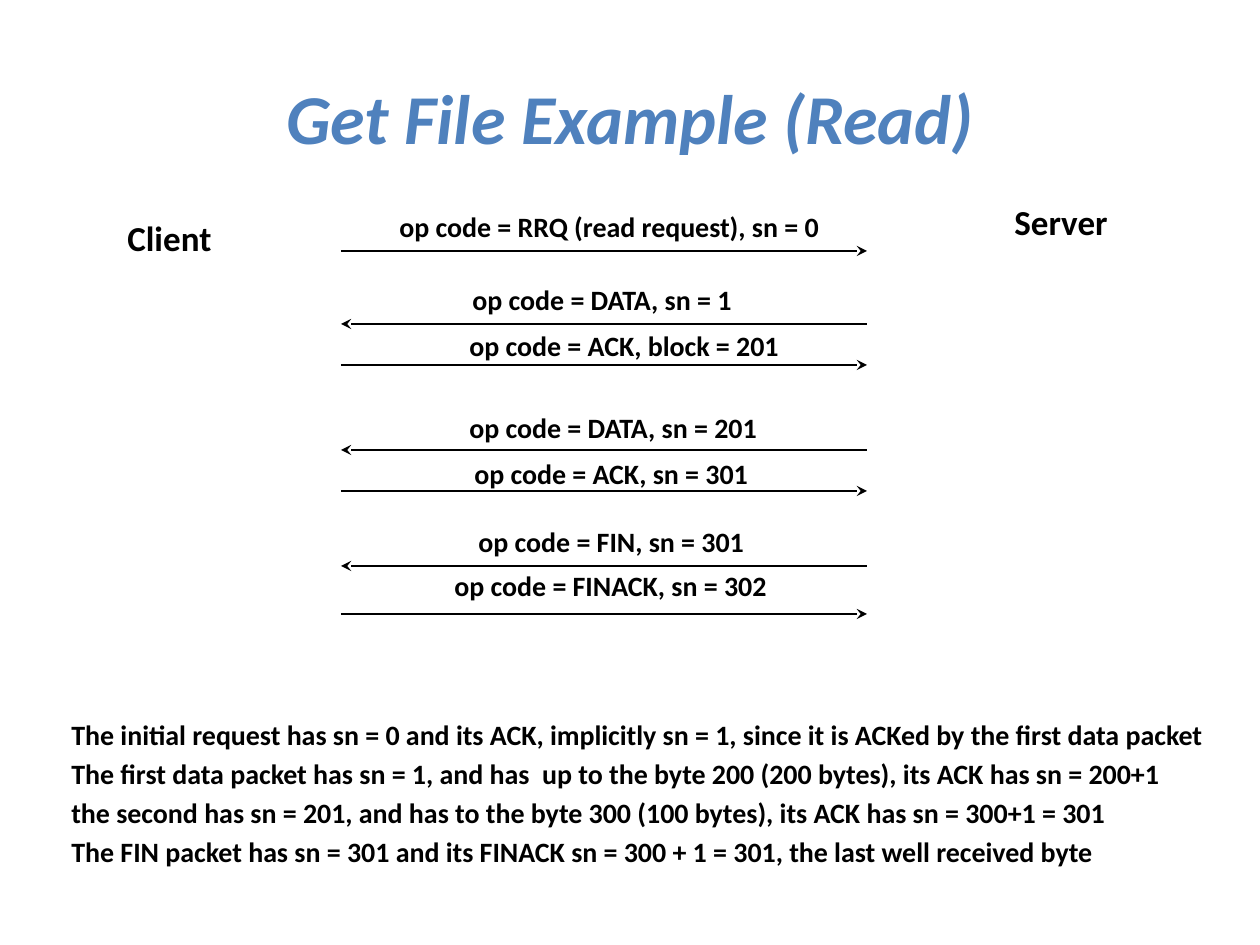
from collections import namedtuple
from dataclasses import dataclass

from lxml.etree import SubElement
from pptx import Presentation
from pptx.dml.color import RGBColor
from pptx.enum.shapes import MSO_CONNECTOR
from pptx.enum.text import MSO_ANCHOR, PP_ALIGN
from pptx.oxml.ns import qn
from pptx.util import Emu, Pt

Box = namedtuple("Box", "left top width height")
Message = namedtuple("Message", "text left top width arrow_y to_server")


@dataclass(frozen=True)
class Theme:
    font: str = "Calibri"
    ink: str = "000000"
    accent: str = "4F81BD"
    title_size: int = 40
    party_size: int = 20
    body_size: int = 16
    line_width: int = 1


THEME = Theme()
PX_PER_INCH = 126
LABEL_HEIGHT = 43

# Label positions and arrow heights are relative to the sequence box
MESSAGES = [
    Message("op code = RRQ (read request), sn = 0", 46, 0, 451, 44, True),
    Message("op code = DATA, sn = 1", 119, 73, 319, 117, False),
    Message("op code = ACK, block = 201", 116, 119, 340, 158, True),
    Message("op code = DATA, sn = 201", 116, 201, 350, 243, False),
    Message("op code = ACK, sn = 301", 121, 247, 304, 284, True),
    Message("op code = FIN, sn = 301", 125, 315, 295, 359, False),
    Message("op code = FINACK, sn = 302", 101, 359, 369, 407, True),
]

NOTES = [
    "The initial request has sn = 0 and its ACK, implicitly sn = 1, since it is ACKed by the first data packet",
    "The first data packet has sn = 1, and has  up to the byte 200 (200 bytes), its ACK has sn = 200+1",
    "the second has sn = 201, and has to the byte 300 (100 bytes), its ACK has sn = 300+1 = 301",
    "The FIN packet has sn = 301 and its FINACK sn = 300 + 1 = 301, the last well received byte",
]


def px(value):
    return Emu(round(value * 914400 / PX_PER_INCH))


def write_text(shape, *lines, size=THEME.body_size, color=THEME.ink, italic=False,
               align=PP_ALIGN.LEFT, anchor=MSO_ANCHOR.TOP, line_spacing=None, gap=0):
    frame = shape.text_frame
    frame.word_wrap = True
    frame.vertical_anchor = anchor
    for index, line in enumerate(lines):
        paragraph = frame.add_paragraph() if index else frame.paragraphs[0]
        paragraph.alignment = align
        if line_spacing:
            paragraph.line_spacing = line_spacing
        if index:
            paragraph.space_before = Pt(gap)
        run = paragraph.add_run()
        run.text = line
        font = run.font
        font.name, font.size = THEME.font, Pt(size)
        font.bold, font.italic = True, italic
        font.color.rgb = RGBColor.from_string(color)


def add_text(slide, box, *lines, **text_format):
    shape = slide.shapes.add_textbox(*map(px, box))
    write_text(shape, *lines, **text_format)


def add_arrow(slide, start_x, end_x, y):
    arrow = slide.shapes.add_connector(
        MSO_CONNECTOR.STRAIGHT, px(start_x), px(y), px(end_x), px(y))
    arrow.line.color.rgb = RGBColor.from_string(THEME.ink)
    arrow.line.width = Pt(THEME.line_width)
    properties = arrow._element.spPr
    SubElement(properties.find(qn("a:ln")), qn("a:tailEnd"), type="stealth")
    SubElement(properties, qn("a:effectLst"))


def add_title(slide, box, text):
    title = slide.shapes.title
    title.left, title.top, title.width, title.height = map(px, box)
    write_text(title, text, size=THEME.title_size, color=THEME.accent, italic=True,
               align=PP_ALIGN.CENTER, anchor=MSO_ANCHOR.MIDDLE)


def add_party(slide, box, name):
    add_text(slide, box, name, size=THEME.party_size, line_spacing=0.9)


def add_sequence(slide, box, messages):
    client_x, server_x = box.left, box.left + box.width
    for message in messages:
        ends = (client_x, server_x) if message.to_server else (server_x, client_x)
        add_arrow(slide, *ends, box.top + message.arrow_y)
        label = Box(box.left + message.left, box.top + message.top,
                    message.width, LABEL_HEIGHT)
        add_text(slide, label, message.text, line_spacing=0.9)


def add_notes(slide, box, lines):
    add_text(slide, box, *lines, gap=3.2)


def main():
    presentation = Presentation()
    presentation.slide_width = px(1260)
    presentation.slide_height = px(945)
    slide = presentation.slides.add_slide(presentation.slide_layouts[5])

    # Heading
    add_title(slide, Box(63, 38, 1134, 158), "Get File Example (Read)")
    # Two parties and the messages between them
    add_party(slide, Box(115, 215, 132, 52), "Client")
    add_party(slide, Box(1002, 199, 126, 50), "Server")
    add_sequence(slide, Box(341, 207, 526, 407), MESSAGES)
    # Explanation below the exchange
    add_notes(slide, Box(59, 711, 1171, 188), NOTES)

    presentation.save("out.pptx")


if __name__ == "__main__":
    main()
